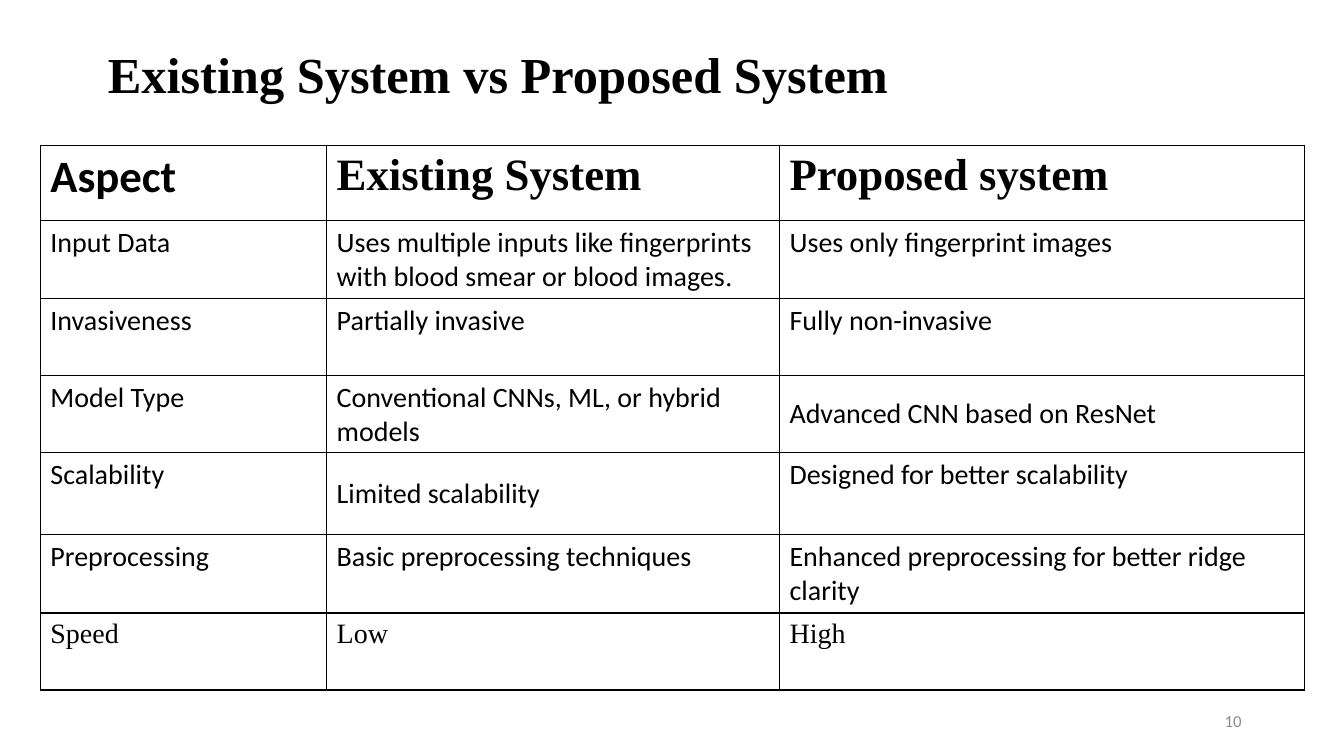
"""Build a slide comparing an existing system with a proposed one."""
from dataclasses import dataclass

from lxml.etree import SubElement
from pptx import Presentation
from pptx.dml.color import RGBColor
from pptx.enum.text import MSO_ANCHOR as ANCHOR, PP_ALIGN as ALIGN
from pptx.oxml.ns import qn
from pptx.util import Pt


@dataclass(frozen=True)
class Theme:
    black: RGBColor = RGBColor(0, 0, 0)
    white: RGBColor = RGBColor(255, 255, 255)
    gray: RGBColor = RGBColor(0x8C, 0x8C, 0x8C)
    sans: str = "Calibri"
    serif: str = "Times New Roman"
    title: int = 36
    header: int = 32
    body: int = 20
    number: int = 12


theme = Theme()


def set_font(font, name, size, color=theme.black, bold=False):
    font.name, font.size, font.bold = name, Pt(size), bold
    font.color.rgb = color


def add_border(cell):
    tcPr = cell._tc.get_or_add_tcPr()
    for side in ("lnL", "lnR", "lnT", "lnB"):
        ln = SubElement(tcPr, qn(f"a:{side}"), w=str(Pt(1)))
        fill = SubElement(ln, qn("a:solidFill"))
        SubElement(fill, qn("a:srgbClr"), val=str(theme.black))


prs = Presentation()
prs.slide_width, prs.slide_height = Pt(960), Pt(540)
s = prs.slides.add_slide(prs.slide_layouts[6])

labels = [
    ("Existing System vs Proposed System", (70, 26, 824, 58),
     ALIGN.LEFT, 0.9, (theme.serif, theme.title, theme.black, True)),
    ("10", (678, 500.5, 216, 28.75),
     ALIGN.RIGHT, 1.0, (theme.sans, theme.number, theme.gray)),
]
for text, box, align, spacing, font in labels:
    tf = s.shapes.add_textbox(*map(Pt, box)).text_frame
    tf.word_wrap = True
    tf.vertical_anchor = ANCHOR.MIDDLE
    p = tf.paragraphs[0]
    p.text, p.alignment, p.line_spacing = text, align, spacing
    set_font(p.font, *font)

rows = [
    ("Aspect", "Existing System", "Proposed system"),
    ("Input Data",
     "Uses multiple inputs like fingerprints with blood smear or blood images",
     "Uses only fingerprint images"),
    ("Invasiveness", "Partially invasive", "Fully non-invasive"),
    ("Model Type", "Conventional CNNs, ML, or hybrid models",
     "Advanced CNN based on ResNet"),
    ("Scalability", "Limited scalability", "Designed for better scalability"),
    ("Preprocessing", "Basic preprocessing techniques",
     "Enhanced preprocessing for better ridge clarity"),
    ("Speed", "Low", "High"),
]
col_widths = [204.5, 323.5, 375]
row_heights = [54, 55.5, 55, 55, 58.5, 56, 55]
serif_cells = {(0, 1), (0, 2), (6, 0), (6, 1), (6, 2)}
middle_cells = {(3, 1), (3, 2), (4, 1)}

table = s.shapes.add_table(
    len(rows), len(col_widths), Pt(28.8), Pt(103.7),
    Pt(sum(col_widths)), Pt(sum(row_heights))).table
table.first_row = table.horz_banding = False
for col, width in zip(table.columns, col_widths):
    col.width = Pt(width)
for row, height in zip(table.rows, row_heights):
    row.height = Pt(height)

for i, texts in enumerate(rows):
    for j, text in enumerate(texts):
        cell = table.cell(i, j)
        add_border(cell)
        cell.fill.solid()
        cell.fill.fore_color.rgb = theme.white
        cell.vertical_anchor = (
            ANCHOR.MIDDLE if (i, j) in middle_cells else ANCHOR.TOP)
        p = cell.text_frame.paragraphs[0]
        p.text = text
        set_font(p.font, theme.serif if (i, j) in serif_cells else theme.sans,
                 theme.body if i else theme.header, bold=i == 0)

r = table.cell(1, 1).text_frame.paragraphs[0].add_run()
r.text = "."
r.font.name = theme.serif

prs.save("out.pptx")
